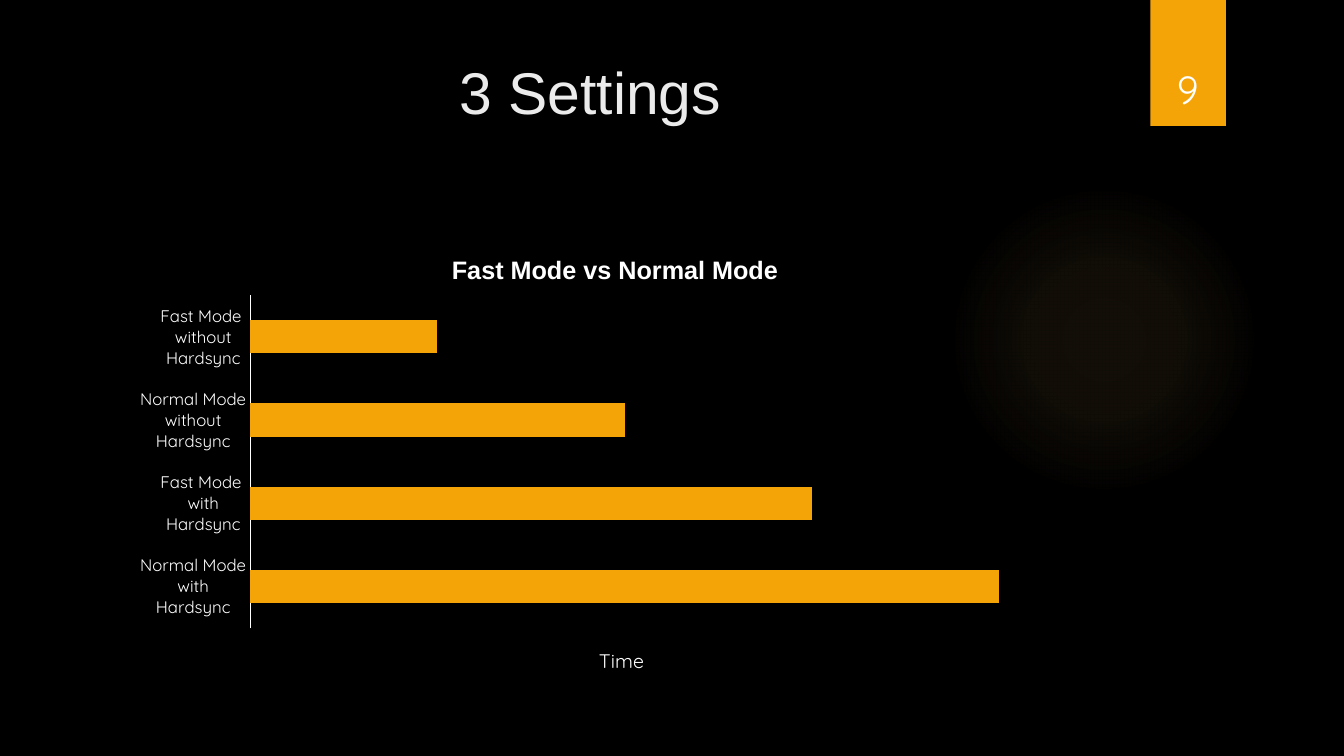
import pptx
import pptx.chart.data
import pptx.dml.color
import pptx.enum.chart
import pptx.enum.shapes
import pptx.enum.text
import pptx.oxml
import pptx.oxml.ns
import pptx.util
from pptx.util import Inches

COLORS = {
    "background": "000000",
    "title": "EBEBEB",
    "text": "FFFFFF",
    "accent": "F5A408",
    "glow": "FAC96A",
    "second": "FA731A",
    "third": "AB9281",
}
HEADING_FONT = "Arial"
BODY_FONT = "Quicksand"
BAR_TIMES = {
    "Normal Mode\nwith\nHardsync": 100,
    "Fast Mode \nwith\nHardsync": 75,
    "Normal Mode\nwithout\nHardsync": 50,
    "Fast Mode \nwithout\nHardsync": 25,
}


def rgb(name):
    return pptx.dml.color.RGBColor.from_string(COLORS[name])


def style_font(font, name, size, color, bold=False):
    font.name = name
    font.size = pptx.util.Pt(size)
    font.color.rgb = rgb(color)
    font.bold = bold


def add_plain_shape(slide, kind, box):
    shape = slide.shapes.add_shape(kind, *map(Inches, box))
    shape.shadow.inherit = False
    shape.line.fill.background()
    return shape


def add_glow(slide, box):
    """Draw a faint round light that fades out towards its edge."""
    glow = add_plain_shape(slide, pptx.enum.shapes.MSO_SHAPE.OVAL, box)
    stops = "".join(
        f'<a:gs pos="{position * 1000}"><a:srgbClr val="{COLORS["glow"]}">'
        f'<a:alpha val="{alpha * 1000}"/></a:srgbClr></a:gs>'
        for position, alpha in [(0, 7), (36, 6), (69, 0), (100, 0)]
    )
    gradient = pptx.oxml.parse_xml(
        f'<a:gradFill {pptx.oxml.ns.nsdecls("a")}><a:gsLst>{stops}</a:gsLst>'
        '<a:path path="circle">'
        '<a:fillToRect l="50000" t="50000" r="50000" b="50000"/>'
        "</a:path></a:gradFill>"
    )
    properties = glow._element.spPr
    properties.find(pptx.oxml.ns.qn("a:prstGeom")).addnext(gradient)


def add_page_marker(slide, box, number):
    left, top, width, height = box
    marker = add_plain_shape(slide, pptx.enum.shapes.MSO_SHAPE.RECTANGLE, box)
    marker.fill.solid()
    marker.fill.fore_color.rgb = rgb("accent")
    number_box = (left - 0.09, top + 0.32, width + 0.17, 0.84)
    frame = slide.shapes.add_textbox(*map(Inches, number_box)).text_frame
    frame.word_wrap = True
    frame.vertical_anchor = pptx.enum.text.MSO_ANCHOR.BOTTOM
    paragraph = frame.paragraphs[0]
    paragraph.text = number
    paragraph.alignment = pptx.enum.text.PP_ALIGN.CENTER
    style_font(paragraph.font, BODY_FONT, 28, "text")


def set_title(slide, box, text):
    title = slide.shapes.title
    title.left, title.top, title.width, title.height = map(Inches, box)
    frame = title.text_frame
    frame.text = text
    frame.vertical_anchor = pptx.enum.text.MSO_ANCHOR.TOP
    paragraph = frame.paragraphs[0]
    paragraph.alignment = pptx.enum.text.PP_ALIGN.CENTER
    style_font(paragraph.font, HEADING_FONT, 42, "title")


def set_layout(element, index, **fractions):
    """Place a chart part by fractions of the chart's size."""
    for old in element.findall(pptx.oxml.ns.qn("c:layout")):
        element.remove(old)
    target = '<c:layoutTarget val="inner"/>' if "w" in fractions else ""
    modes = "".join(f'<c:{side}Mode val="edge"/>' for side in "xy")
    values = "".join(f'<c:{key} val="{value}"/>' for key, value in fractions.items())
    element.insert(index, pptx.oxml.parse_xml(
        f'<c:layout {pptx.oxml.ns.nsdecls("c")}><c:manualLayout>'
        f"{target}{modes}{values}</c:manualLayout></c:layout>"
    ))


def set_chart_text(title, text, font_name, size, bold, x, y):
    title.text_frame.text = text
    style_font(title.text_frame.paragraphs[0].font, font_name, size, "text", bold)
    set_layout(title._element, 1, x=x, y=y)


def add_time_chart(slide, box):
    data = pptx.chart.data.CategoryChartData()
    data.categories = list(BAR_TIMES)
    data.add_series("Series 1", list(BAR_TIMES.values()))
    for name in ("Series 2", "Series 3"):
        data.add_series(name, [None] * len(BAR_TIMES))
    chart = slide.shapes.add_chart(
        pptx.enum.chart.XL_CHART_TYPE.BAR_STACKED, *map(Inches, box), data
    ).chart
    style_font(chart.font, BODY_FONT, 10, "text")
    chart.has_legend = False
    chart.has_title = True
    set_chart_text(chart.chart_title, "Fast Mode vs Normal Mode",
                   HEADING_FONT, 18, True, 0.33, 0.05)

    plot = chart.plots[0]
    plot.gap_width = 150
    plot.overlap = 100
    plot.vary_by_categories = False
    for series, color in zip(plot.series, ("accent", "second", "third")):
        series.format.fill.solid()
        series.format.fill.fore_color.rgb = rgb(color)

    category_axis = chart.category_axis
    category_axis.major_tick_mark = pptx.enum.chart.XL_TICK_MARK.NONE
    category_axis.format.line.color.rgb = rgb("text")
    category_axis.format.line.width = pptx.util.Pt(0.75)
    style_font(category_axis.tick_labels.font, BODY_FONT, 12, "text")

    value_axis = chart.value_axis
    value_axis.minimum_scale = 0
    value_axis.maximum_scale = 100
    value_axis.has_major_gridlines = False
    value_axis.major_tick_mark = pptx.enum.chart.XL_TICK_MARK.NONE
    value_axis.tick_label_position = pptx.enum.chart.XL_TICK_LABEL_POSITION.NONE
    value_axis.format.line.fill.background()
    set_chart_text(value_axis.axis_title, "Time", BODY_FONT, 14, False, 0.48, 0.9)

    plot_area = chart._chartSpace.chart.plotArea
    set_layout(plot_area, 0, x=0.13, y=0.15, w=0.76, h=0.72)


def build_chart_slide(presentation):
    slide = presentation.slides.add_slide(presentation.slide_layouts[5])
    slide.background.fill.solid()
    slide.background.fill.fore_color.rgb = rgb("background")
    add_glow(slide, (9.41, 1.83, 3.08, 3.08))
    set_title(slide, (0.71, 0.5, 10.29, 1.53), "3 Settings")
    add_time_chart(slide, (1.21, 2.24, 9.78, 4.59))
    add_page_marker(slide, (11.41, 0, 0.75, 1.25), "9")


def main():
    presentation = pptx.Presentation()
    presentation.slide_width = Inches(13.33)
    presentation.slide_height = Inches(7.5)
    build_chart_slide(presentation)
    presentation.save("out.pptx")


if __name__ == "__main__":
    main()
